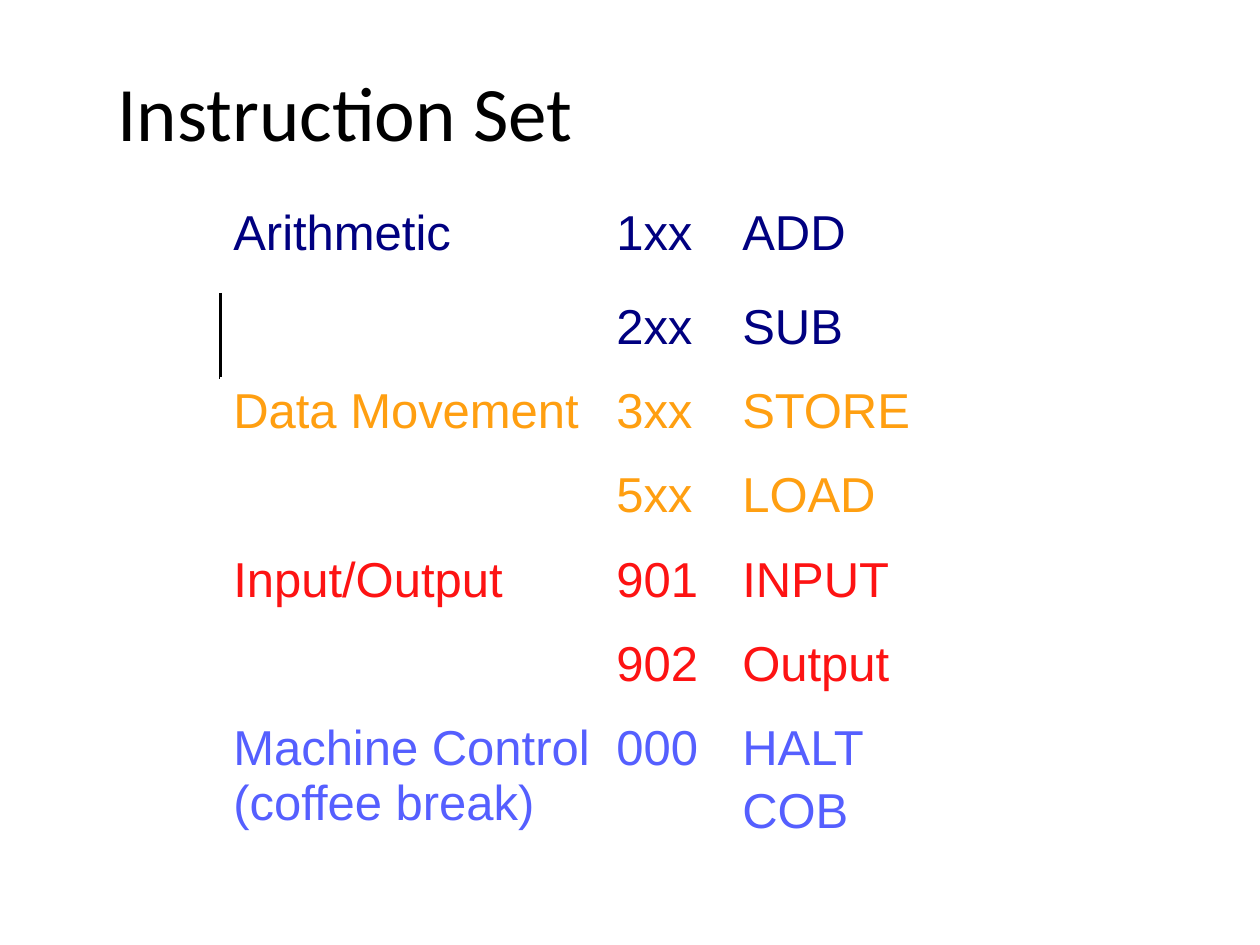
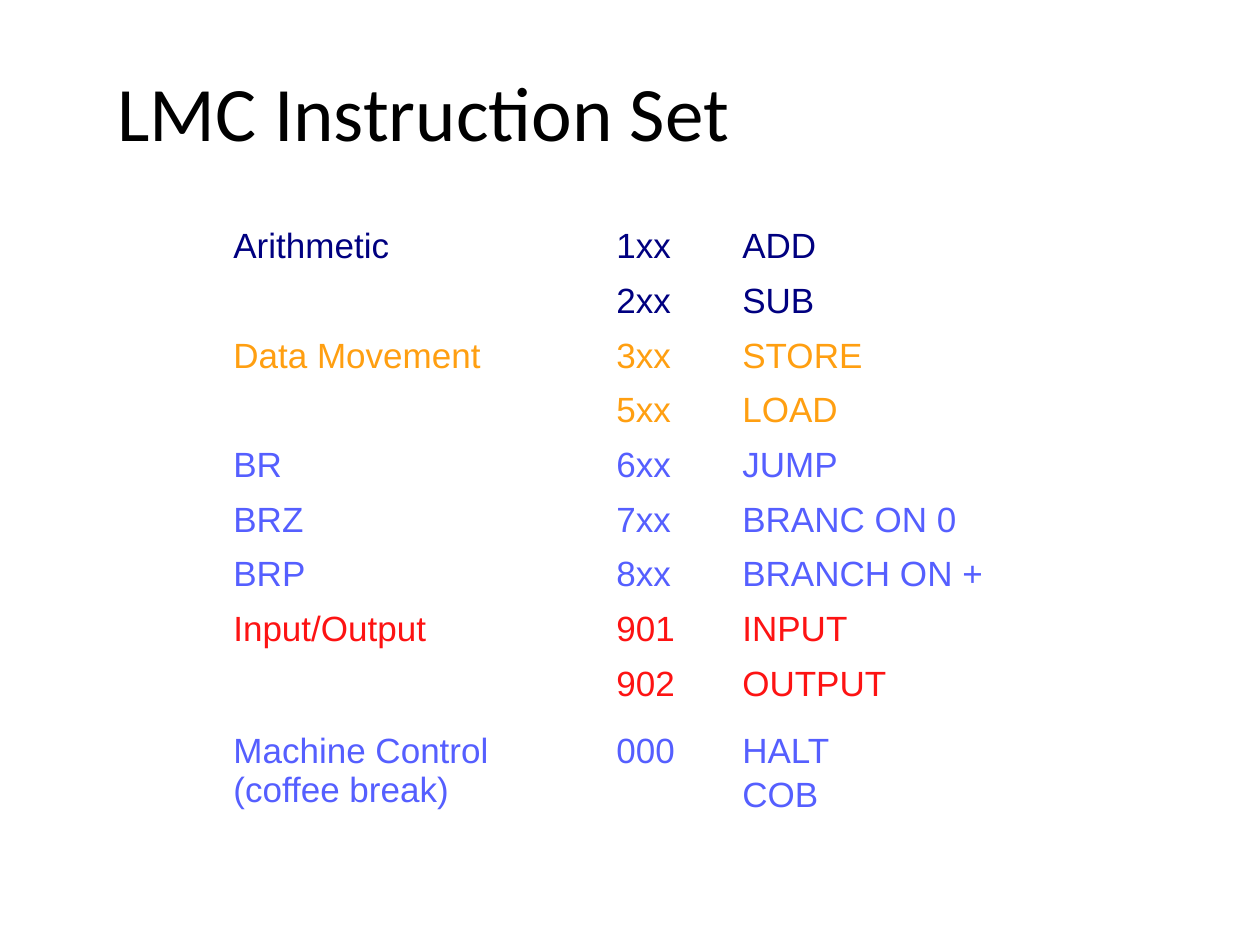
"""Build two slides that list the Little Man Computer instruction set."""
from dataclasses import dataclass

from lxml.etree import SubElement
from pptx import Presentation
from pptx.dml.color import RGBColor
from pptx.enum.text import MSO_ANCHOR
from pptx.oxml.ns import qn
from pptx.util import Cm, Pt


@dataclass(frozen=True)
class Theme:
    title_font: str = "Calibri"
    body_font: str = "Arial"
    title_size: int = 44
    large_size: int = 28
    small_size: int = 20
    border_width: float = 2.25
    black: str = "000000"
    arithmetic: str = "000080"
    movement: str = "FF9F11"
    input_output: str = "FD1313"
    control: str = "555FFF"


theme = Theme()


def format_paragraph(paragraph, font, size, color):
    for run in paragraph.runs:
        run.font.name = font
        run.font.size = Pt(size)
        run.font.color.rgb = RGBColor.from_string(color)


def add_left_border(cell, color, width):
    properties = cell._tc.get_or_add_tcPr()
    line = SubElement(properties, qn("a:lnL"), w=str(Pt(width)))
    fill = SubElement(line, qn("a:solidFill"))
    SubElement(fill, qn("a:srgbClr"), val=color)
    properties.insert(0, line)


arithmetic_rows = [
    (theme.arithmetic, "Arithmetic", "1xx", "ADD"),
    (theme.arithmetic, "", "2xx", "SUB"),
]
movement_rows = [
    (theme.movement, "Data Movement", "3xx", "STORE"),
    (theme.movement, "", "5xx", "LOAD"),
]
branch_rows = [
    (theme.control, "BR", "6xx", "JUMP"),
    (theme.control, "BRZ", "7xx", "BRANC ON 0"),
    (theme.control, "BRP", "8xx", "BRANCH ON +"),
]
input_row = (theme.input_output, "Input/Output", "901", "INPUT")
control_row = (theme.control, "Machine Control\v(coffee break)", "000", "HALT\nCOB")

basic_rows = [*arithmetic_rows, *movement_rows, input_row,
              (theme.input_output, "", "902", "Output"), control_row]
full_rows = [*arithmetic_rows, *movement_rows, *branch_rows, input_row,
             (theme.input_output, "", "902", "OUTPUT"), control_row]

slides = [
    ("Instruction Set", basic_rows, theme.large_size, 4.02, 4.06,
     [1.9] + [1.7] * 5 + [2.87], [(1, 0)]),
    ("LMC Instruction Set", full_rows, theme.small_size, 4.45, 5.36,
     [1.1] * 8 + [1.35, 2.11], []),
]

presentation = Presentation()
presentation.slide_width = Cm(25.4)
presentation.slide_height = Cm(19.05)

for title, rows, size, top, name_width, heights, bordered_cells in slides:
    slide = presentation.slides.add_slide(presentation.slide_layouts[6])

    title_box = slide.shapes.add_textbox(Cm(2.12), Cm(0.76), Cm(22.01), Cm(3.18))
    title_frame = title_box.text_frame
    title_frame.word_wrap = True
    title_frame.vertical_anchor = MSO_ANCHOR.MIDDLE
    title_frame.text = title
    title_frame.paragraphs[0].line_spacing = 0.9
    format_paragraph(title_frame.paragraphs[0], theme.title_font,
                     theme.title_size, theme.black)

    widths = [7.72, 2.54, name_width]
    table = slide.shapes.add_table(len(rows), len(widths), Cm(4.45), Cm(top),
                                   Cm(sum(widths)), Cm(sum(heights))).table
    table.first_row = False
    table.horz_banding = False
    for column, width in zip(table.columns, widths):
        column.width = Cm(width)

    for row, height, (color, *texts) in zip(table.rows, heights, rows):
        row.height = Cm(height)
        for cell, text in zip(row.cells, texts):
            cell.fill.background()
            cell.text_frame.text = text
            for index, paragraph in enumerate(cell.text_frame.paragraphs):
                format_paragraph(paragraph, theme.body_font, size, color)
                if index:
                    paragraph.space_before = Pt(round(size * 0.16, 1))

    for row_index, column_index in bordered_cells:
        add_left_border(table.cell(row_index, column_index),
                        theme.black, theme.border_width)

presentation.save("out.pptx")
